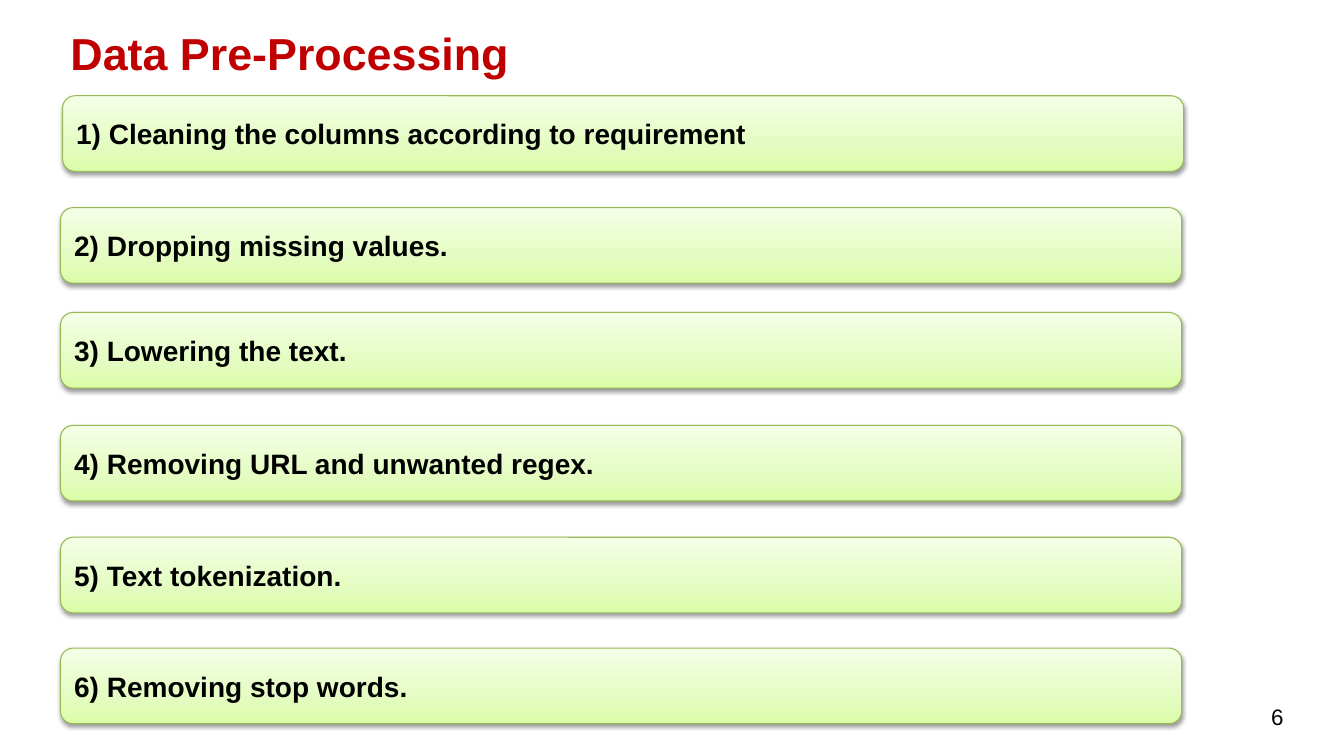
"""Build the Data Pre-Processing slide: a title, six step bars and a page number."""
from pptx import Presentation
from pptx.dml.color import RGBColor
from pptx.enum.shapes import MSO_SHAPE
from pptx.enum.text import MSO_ANCHOR, PP_ALIGN
from pptx.oxml import parse_xml
from pptx.oxml.ns import nsdecls
from pptx.util import Inches, Pt

ROUNDED = MSO_SHAPE.ROUNDED_RECTANGLE
MIDDLE, TOP = MSO_ANCHOR.MIDDLE, MSO_ANCHOR.TOP
LEFT = PP_ALIGN.LEFT

TITLE = "Data Pre-Processing"
PAGE_NUMBER = "6"
STEPS = [
    ("Cleaning the columns according to requirement", 0.62, 0.95),
    ("Dropping missing values.", 0.6, 2.06),
    ("Lowering the text.", 0.6, 3.1),
    ("Removing URL and unwanted regex.", 0.6, 4.22),
    ("Text tokenization.", 0.6, 5.33),
    ("Removing stop words.", 0.6, 6.43),
]
BAR_WIDTH, BAR_HEIGHT = 11.12, 0.75
TITLE_AREA = (0.6, 0.21, 4.71, 0.64)
NUMBER_AREA = (12.51, 6.93, 0.32, 0.37)

THEME = {
    "font": "Arial",
    "title": {"size": Pt(32), "bold": True, "color": "C00000"},
    "step": {"size": Pt(20), "bold": True, "color": "000000"},
    "number": {"size": Pt(16), "bold": False, "color": "000000"},
    "bar_line": "98B955",
    "bar_stops": [(0, "DAFDA7"), (35, "E4FCC2"), (100, "F5FFE7")],
    "shadow": "000000",
}


def write(shape, text, style, anchor, wrap):
    """Put one styled line of text into a shape."""
    frame = shape.text_frame
    for name, value in {"word_wrap": wrap, "vertical_anchor": anchor}.items():
        setattr(frame, name, value)
    para = frame.paragraphs[0]
    para.alignment = LEFT
    span = para.add_run()
    span.text = text
    look = THEME[style]
    font_format = {"name": THEME["font"], "size": look["size"], "bold": look["bold"]}
    for name, value in font_format.items():
        setattr(span.font, name, value)
    span.font.color.rgb = RGBColor.from_string(look["color"])


def add_label(page, area, text, style):
    """Add a single-line text box."""
    box = page.shapes.add_textbox(*map(Inches, area))
    write(box, text, style, TOP, False)


def add_bar(page, left, top, text):
    """Add a rounded bar with an upward gradient and a soft shadow."""
    area = (left, top, BAR_WIDTH, BAR_HEIGHT)
    bar = page.shapes.add_shape(ROUNDED, *map(Inches, area))
    bar.line.color.rgb = RGBColor.from_string(THEME["bar_line"])
    bar.line.width = Pt(0.75)
    stops = "".join(
        f'<a:gs pos="{percent * 1000}"><a:srgbClr val="{color}"/></a:gs>'
        for percent, color in THEME["bar_stops"]
    )
    gradient = parse_xml(
        f'<a:gradFill {nsdecls("a")} rotWithShape="1"><a:gsLst>{stops}</a:gsLst>'
        '<a:lin ang="16200000" scaled="1"/></a:gradFill>'
    )
    shadow = parse_xml(
        f'<a:effectLst {nsdecls("a")}>'
        f'<a:outerShdw blurRad="{Pt(3.1)}" dist="{Pt(1.6)}" dir="5400000" rotWithShape="0">'
        f'<a:srgbClr val="{THEME["shadow"]}"><a:alpha val="38000"/></a:srgbClr>'
        '</a:outerShdw></a:effectLst>'
    )
    properties = bar._element.spPr
    properties.insert(2, gradient)
    properties.append(shadow)
    write(bar, text, "step", MIDDLE, True)


def main():
    """Assemble and save the deck."""
    deck = Presentation()
    deck.slide_width, deck.slide_height = Inches(13.33), Inches(7.5)
    page = deck.slides.add_slide(deck.slide_layouts[6])
    for number, (text, left, top) in enumerate(STEPS, start=1):
        add_bar(page, left, top, f"{number}) {text}")
    add_label(page, TITLE_AREA, TITLE, "title")
    add_label(page, NUMBER_AREA, PAGE_NUMBER, "number")
    deck.save("out.pptx")


if __name__ == "__main__":
    main()
